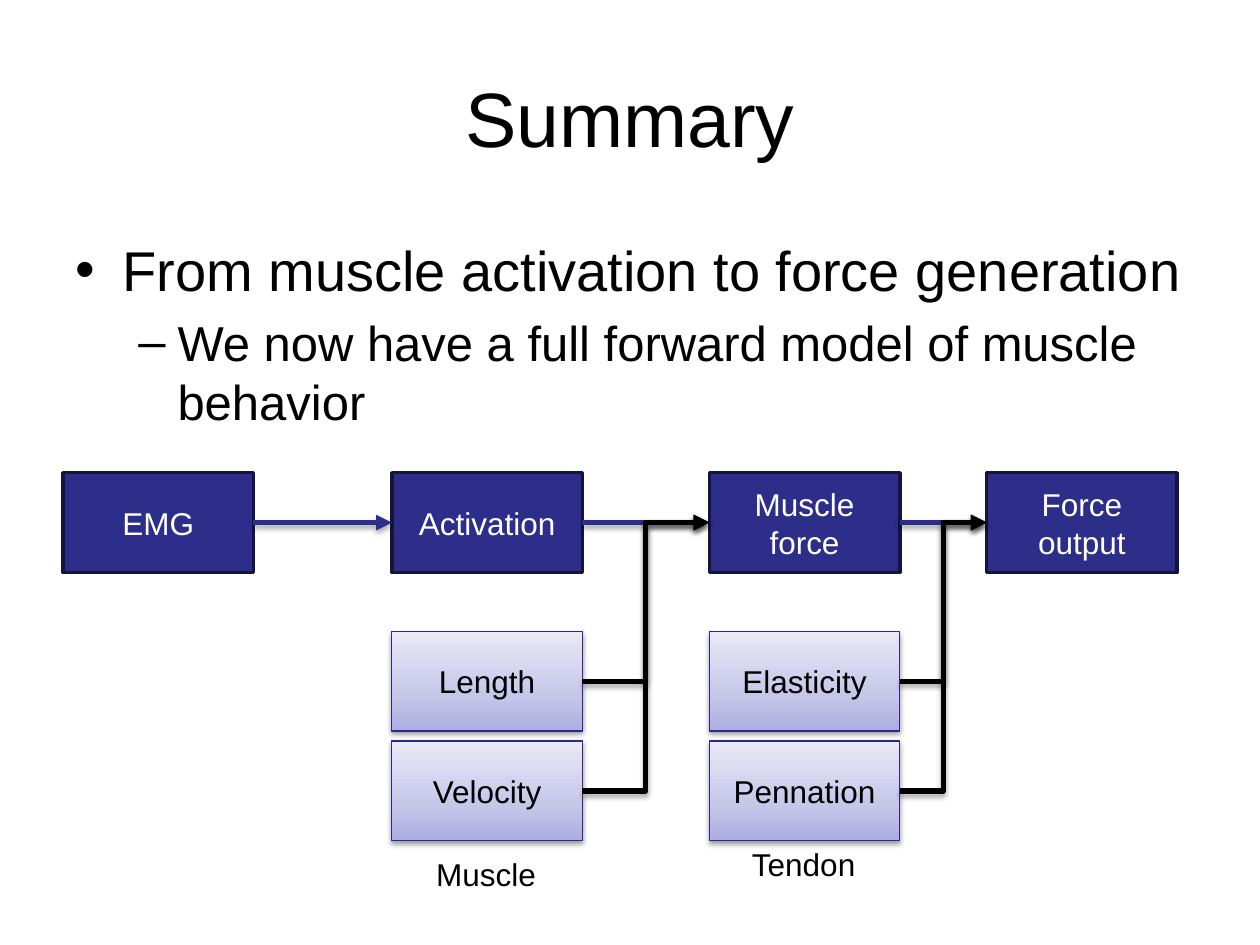
"""Build the summary slide: from muscle activation to force output."""
import dataclasses

import lxml.etree
import pptx
import pptx.dml.color
import pptx.enum.shapes
import pptx.enum.text
import pptx.oxml
import pptx.oxml.ns
import pptx.util

Cm = pptx.util.Cm
Pt = pptx.util.Pt
qn = pptx.oxml.ns.qn
RGB = pptx.dml.color.RGBColor.from_string
CENTER = pptx.enum.text.PP_ALIGN.CENTER
MIDDLE = pptx.enum.text.MSO_ANCHOR.MIDDLE


@dataclasses.dataclass(frozen=True)
class Theme:
    """Colours, type sizes and font of the slide."""
    font: str = "Arial"
    ink: str = "000000"
    light: str = "FFFFFF"
    navy: str = "2D2D8A"
    edge: str = "14143C"
    rim: str = "2A2A89"
    fade: tuple = ((0, "ADADE1"), (35, "C6C6E9"), (100, "E9E9F7"))
    title: int = 44
    lead: int = 32
    sub: int = 28
    label: int = 18


THEME = Theme()


def apply(item, **values):
    """Set each given attribute on the item."""
    for name, value in values.items():
        setattr(item, name, value)


def node(parent, tag, **values):
    """Append a drawing element with attributes to the parent."""
    child = lxml.etree.SubElement(parent, qn(tag))
    for name, value in values.items():
        child.set(name, str(value))
    return child


def style(para, size, color):
    """Give a paragraph its font, size and colour."""
    apply(para.font, name=THEME.font, size=Pt(size))
    para.font.color.rgb = RGB(color)


def stroke(line, color, width):
    """Give a line its colour and width."""
    line.color.rgb = RGB(color)
    line.width = Pt(width)


def shade(item, drop, alpha):
    """Add a soft shadow that falls straight down."""
    effects = node(item._element.spPr, "a:effectLst")
    outer = node(effects, "a:outerShdw", blurRad=Pt(3.15), dist=Pt(drop),
                 dir=5400000, rotWithShape=0)
    node(node(outer, "a:srgbClr", val=THEME.ink), "a:alpha", val=alpha * 1000)


def head(slide, box, text):
    """Place the centred title."""
    frame = slide.shapes.add_textbox(*map(Cm, box)).text_frame
    apply(frame, word_wrap=True, vertical_anchor=MIDDLE, text=text)
    frame.paragraphs[0].alignment = CENTER
    style(frame.paragraphs[0], THEME.title, THEME.ink)


def points(slide, box, items):
    """Place the bulleted text, one level per item."""
    frame = slide.shapes.add_textbox(*map(Cm, box)).text_frame
    apply(frame, word_wrap=True, margin_top=Cm(0.3))
    looks = (("•", 0.95, 0.95, THEME.lead, 0), ("–", 2.06, 0.79, THEME.sub, 5.6))
    for level, text in items:
        mark, left, hang, size, gap = looks[level]
        para = frame.paragraphs[0] if not frame.text else frame.add_paragraph()
        apply(para, text=text, level=level, space_before=Pt(gap))
        props = para._p.get_or_add_pPr()
        props.set("marL", str(Cm(left)))
        props.set("indent", str(-Cm(hang)))
        node(props, "a:buFont", typeface=THEME.font)
        node(props, "a:buChar", char=mark)
        style(para, size, THEME.ink)


def block(slide, box, text, color):
    """Place a labelled rectangle."""
    kind = pptx.enum.shapes.MSO_SHAPE.RECTANGLE
    shape = slide.shapes.add_shape(kind, *map(Cm, box))
    apply(shape.text_frame, text=text, word_wrap=True, vertical_anchor=MIDDLE)
    shape.text_frame.paragraphs[0].alignment = CENTER
    style(shape.text_frame.paragraphs[0], THEME.label, color)
    return shape


def stage(slide, box, text):
    """Place a dark block of the main chain."""
    shape = block(slide, box, text, THEME.light)
    shape.fill.solid()
    shape.fill.fore_color.rgb = RGB(THEME.navy)
    stroke(shape.line, THEME.edge, 2)
    shape.shadow.inherit = False
    return shape


def factor(slide, box, text):
    """Place a pale graded block that feeds the chain."""
    shape = block(slide, box, text, THEME.ink)
    shape.fill.gradient()
    shape.fill.gradient_angle = 90
    stops = shape._element.spPr.find(qn("a:gradFill")).find(qn("a:gsLst"))
    for stop in list(stops):
        stops.remove(stop)
    for place, color in THEME.fade:
        node(node(stops, "a:gs", pos=place * 1000), "a:srgbClr", val=color)
    stroke(shape.line, THEME.rim, 0.75)
    shade(shape, 1.6, 38)
    return shape


def caption(slide, box, text):
    """Place a one-line caption that fits its text."""
    frame = slide.shapes.add_textbox(*map(Cm, box)).text_frame
    apply(frame, text=text, word_wrap=False,
          auto_size=pptx.enum.text.MSO_AUTO_SIZE.SHAPE_TO_FIT_TEXT)
    style(frame.paragraphs[0], THEME.label, THEME.ink)


def link(slide, start, end, color):
    """Join the right side of one block to the left side of another."""
    kind = pptx.enum.shapes.MSO_CONNECTOR.ELBOW
    arrow = slide.shapes.add_connector(kind, 0, 0, 0, 0)
    arrow.begin_connect(start, 3)
    arrow.end_connect(end, 1)
    stroke(arrow.line, color, 3)
    node(arrow.line._get_or_add_ln(), "a:tailEnd", type="triangle")
    shade(arrow, 1.8, 35)


def flow(slide, box):
    """Place the chain, its factors, captions and arrows."""
    left, top, wide, tall = box
    steps = ((0, "EMG"), (6.63, "Activation"),
             (13.03, "Muscle force"), (18.62, "Force output"))
    groups = ((1, ("Length", "Velocity"), "Muscle", 7.59, 2.55),
              (2, ("Elasticity", "Pennation"), "Tendon", 7.39, 2.62))
    chain = [stage(slide, (left + x, top, wide, tall), text) for x, text in steps]
    feeds = []
    for index, names, name, drop, width in groups:
        x = left + steps[index][0]
        for row, text in enumerate(names):
            spot = (x, top + 3.2 + 2.21 * row, wide, tall)
            feeds.append((factor(slide, spot, text), chain[index + 1]))
        caption(slide, (x + (wide - width) / 2, top + drop, width, 1.03), name)
    for start, end in zip(chain, chain[1:]):
        link(slide, start, end, THEME.navy)
    for start, end in feeds:
        link(slide, start, end, THEME.ink)


def main():
    """Build and save the slide."""
    deck = pptx.Presentation()
    apply(deck, slide_width=Cm(25.4), slide_height=Cm(19.05))
    slide = deck.slides.add_slide(deck.slide_layouts[6])
    head(slide, (1.27, 0.76, 22.86, 3.18), "Summary")
    points(slide, (1.27, 4.45, 22.86, 4.47), (
        (0, "From muscle activation to force generation"),
        (1, "We now have a full forward model of muscle behavior")))
    flow(slide, (1.27, 9.53, 3.84, 2.01))
    deck.save("out.pptx")


if __name__ == "__main__":
    main()
